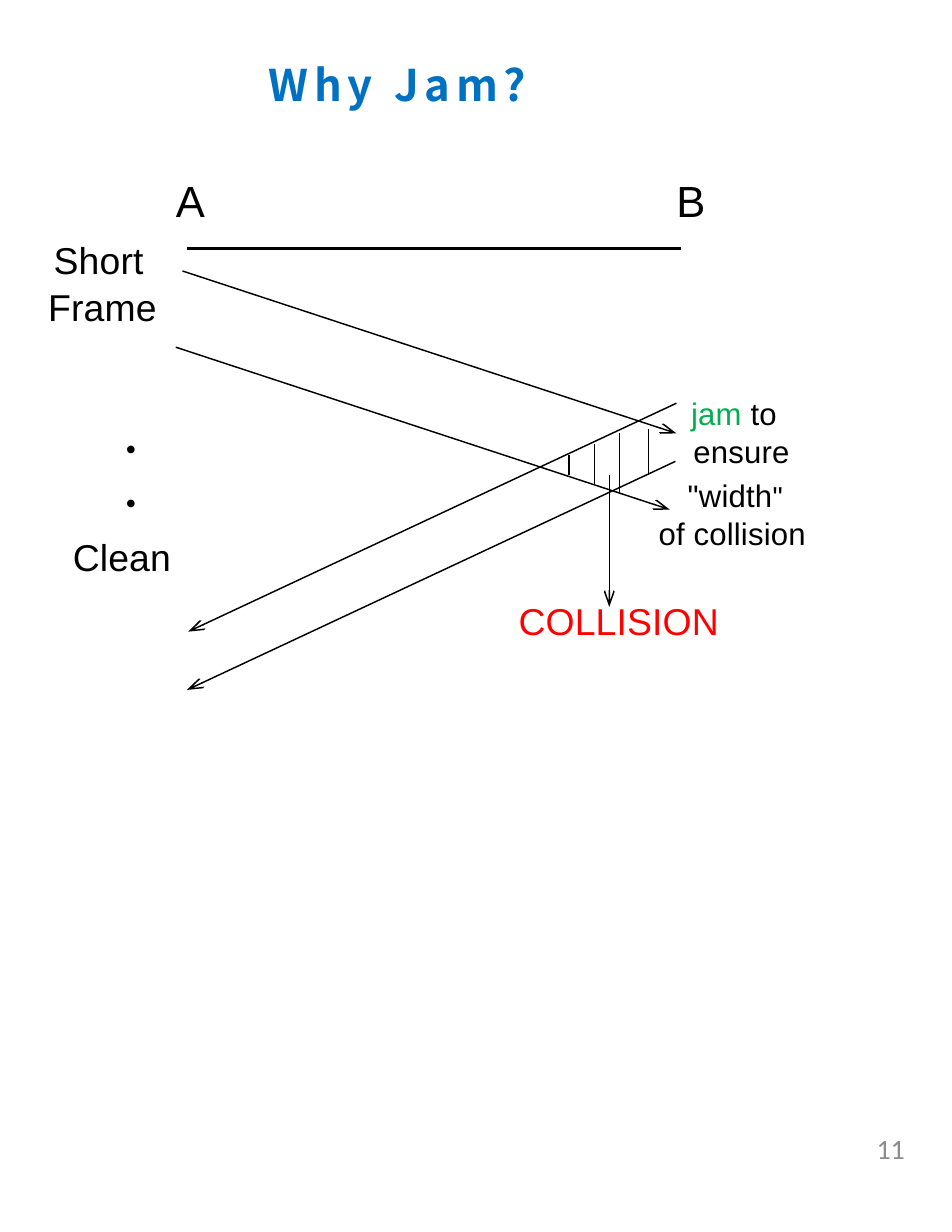
"""Build a slide on why a short frame needs a jam signal."""
import dataclasses

import lxml.etree
import pptx
import pptx.dml.color
import pptx.enum.shapes
import pptx.enum.text
import pptx.oxml.ns
import pptx.util

Inches = pptx.util.Inches
Pt = pptx.util.Pt
Align = pptx.enum.text.PP_ALIGN
qn = pptx.oxml.ns.qn


@dataclasses.dataclass(frozen=True)
class Theme:
    ink: str = "000000"
    blue: str = "0070C0"
    green: str = "00B050"
    red: str = "FF0000"
    gray: str = "8C8C8C"
    sans: str = "Arial"
    head: str = "Noto Sans CJK TC"
    foot: str = "Calibri"
    dot: str = "Times New Roman"
    big: float = 28
    mid: float = 24
    note: float = 20
    quote: float = 18.5
    page: float = 18
    bullet: float = 20.5
    thin: float = 0.93
    thick: float = 1.86


THEME = Theme()


def color(code):
    return pptx.dml.color.RGBColor.from_string(code)


def style(para, size, tint=THEME.ink, face=THEME.sans, gap=0.1, bold=False):
    font = para.font
    font.size = Pt(size)
    font.name = face
    font.bold = bold
    font.color.rgb = color(tint)
    props = para._p.pPr.find(qn("a:defRPr"))
    props.set("spc", str(round(gap * 100)))


def place(shape, left, top, width, height):
    shape.left, shape.top = Inches(left), Inches(top)
    shape.width, shape.height = Inches(width), Inches(height)
    frame = shape.text_frame
    frame.margin_left = frame.margin_right = 0
    frame.margin_top = frame.margin_bottom = 0
    frame.word_wrap = True
    frame.auto_size = pptx.enum.text.MSO_AUTO_SIZE.NONE
    frame.vertical_anchor = pptx.enum.text.MSO_ANCHOR.TOP
    return frame


def title(slide, text):
    frame = place(slide.shapes.title, 2.4, 0.52, 4.46, 0.47)
    frame.text = text
    para = frame.paragraphs[0]
    para.alignment = Align.LEFT
    style(para, THEME.big, THEME.blue, THEME.head, 3.7, True)


def label(slide, text, box, size, tint=THEME.ink, face=THEME.sans, gap=0.1):
    frame = place(slide.shapes.add_textbox(0, 0, 0, 0), *box)
    frame.text = text
    for para in frame.paragraphs:
        style(para, size, tint, face, gap)
    return frame.paragraphs


def line(slide, start, end, width=THEME.thin, arrow=False):
    points = [Inches(value) for value in (*start, *end)]
    kind = pptx.enum.shapes.MSO_CONNECTOR.STRAIGHT
    link = slide.shapes.add_connector(kind, *points)
    link.line.width = Pt(width)
    link.line.color.rgb = color(THEME.ink)
    if arrow:
        tail = lxml.etree.SubElement(link.line._ln, qn("a:tailEnd"))
        for key, value in (("type", "arrow"), ("w", "med"), ("len", "lg")):
            tail.set(key, value)
    lxml.etree.SubElement(link._element.spPr, qn("a:effectLst"))


def signals(slide):
    line(slide, (1.67, 2.22), (6.08, 2.22), THEME.thick)
    frame, jam = (4.41, 1.45), (-4.36, 2.04)
    starts = (
        (1.63, 2.42, frame), (1.57, 3.1, frame),
        (6.04, 3.6, jam), (6.03, 4.12, jam),
    )
    for x, y, (across, down) in starts:
        line(slide, (x, y), (x + across, y + down), arrow=True)
    hatch = ((5.08, 4.06, 4.24), (5.31, 3.96, 4.33),
             (5.53, 3.87, 4.4), (5.79, 3.83, 4.24))
    for x, top, base in hatch:
        line(slide, (x, top), (x, base))
    line(slide, (5.44, 4.24), (5.44, 5.42), arrow=True)


def names(slide):
    for text, left in (("A", 1.57), ("B", 6.04)):
        label(slide, text, (left, 1.55, 0.25, 0.47), THEME.big)
    words = (
        ("Short", 0.48, 2.12, 0.93, THEME.ink),
        ("Frame", 0.43, 2.54, 1.14, THEME.ink),
        ("Clean", 0.65, 4.77, 0.97, THEME.ink),
        ("COLLISION", 4.63, 5.34, 2.03, THEME.red),
    )
    for text, left, top, width, tint in words:
        label(slide, text, (left, top, width, 0.4), THEME.mid, tint)


def notes(slide):
    jam = label(slide, "jam ", (6.17, 3.52, 0.91, 0.34), THEME.note, THEME.green)
    rest = jam[0].add_run()
    rest.text = "to"
    rest.font.color.rgb = color(THEME.ink)
    label(slide, "ensure", (6.19, 3.86, 1.02, 0.34), THEME.note)
    width = label(slide, '"width', (6.14, 4.25, 1.01, 0.34), THEME.note)
    close = width[0].add_run()
    close.text = '"'
    close.font.size = Pt(THEME.quote)
    label(slide, "of collision", (5.88, 4.59, 1.53, 0.34), THEME.note)


def dots(slide):
    box = (1.12, 3.83, 0.4, 0.84)
    paras = label(slide, "•\n•", box, THEME.bullet, face=THEME.dot, gap=3.1)
    paras[1].line_spacing = Pt(21.5)
    paras[1].space_before = Pt(13.1)


def number(slide, text):
    box = (6.12, 10.23, 1.96, 0.55)
    para = label(slide, text, box, THEME.page, THEME.gray, THEME.foot, -0.1)[0]
    para.alignment = Align.RIGHT
    para.line_spacing = Pt(12.3)


def main():
    deck = pptx.Presentation()
    deck.slide_width, deck.slide_height = Inches(8.5), Inches(11)
    slide = deck.slides.add_slide(deck.slide_layouts.get_by_name("Title Only"))
    title(slide, "Why Jam?")
    number(slide, "11")
    signals(slide)
    names(slide)
    notes(slide)
    dots(slide)
    deck.save("out.pptx")


if __name__ == "__main__":
    main()
